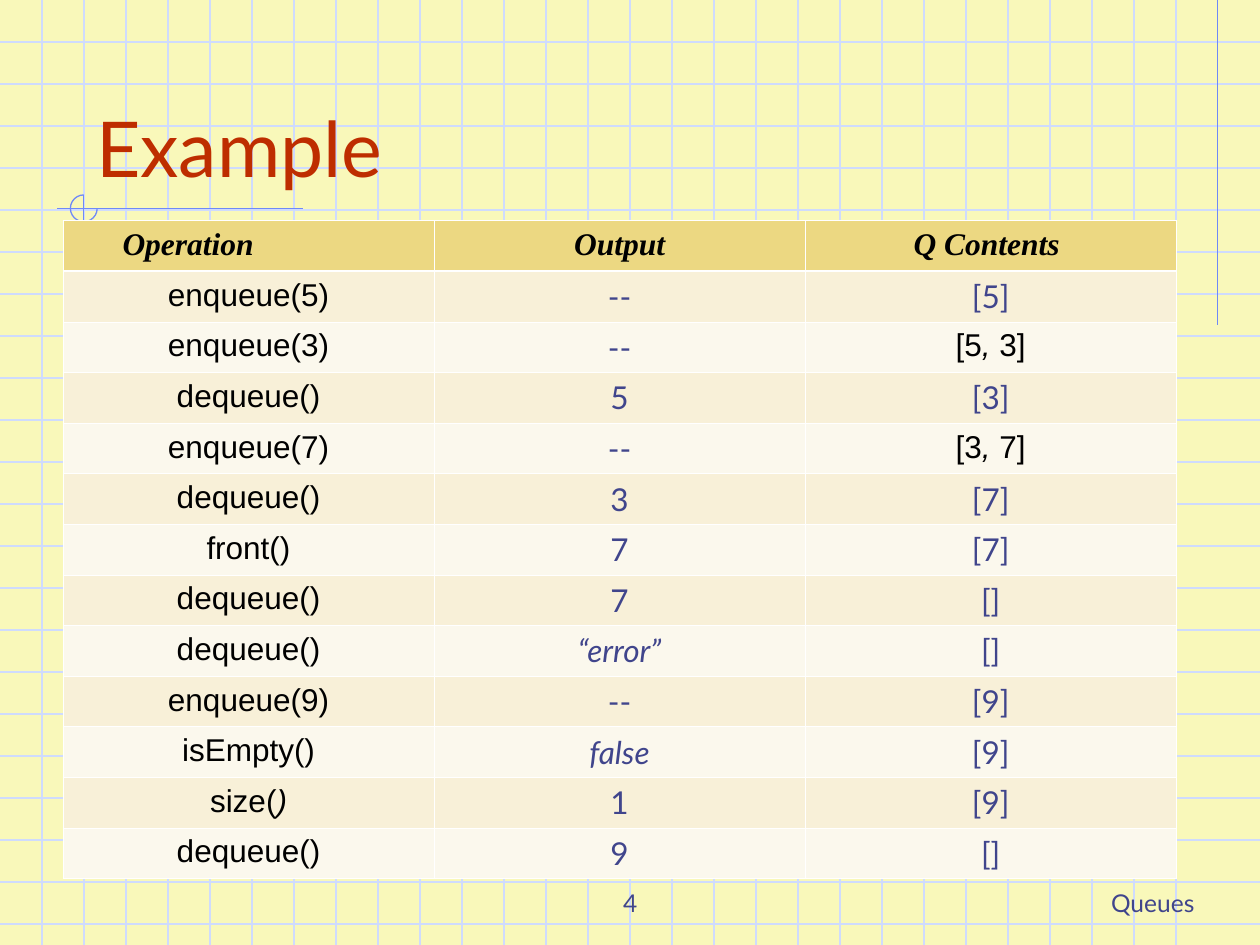
import pptx
import pptx.dml.color
import pptx.enum.shapes
import pptx.enum.text
import pptx.oxml.ns
import pptx.util
from lxml import etree

Cm = pptx.util.Cm
Pt = pptx.util.Pt
ALIGN = pptx.enum.text.PP_ALIGN
ANCHOR = pptx.enum.text.MSO_ANCHOR
qn = pptx.oxml.ns.qn

COLORS = {
    "paper": "F9F8BA",
    "grid": "CFDBFD",
    "accent": "6F89F7",
    "title": "BE2D00",
    "navy": "40458C",
    "black": "000000",
    "white": "FFFFFF",
    "header": "ECD882",
    "odd": "F8F0D8",
    "even": "FBF8ED",
}
SLIDE_W, SLIDE_H = 25.4, 19.05
GRID_STEP = 2.54 / 3
COLUMN_W, ROW_H = 7.48, 1.02
THIN, THICK = 0.45, 1.47

HEADINGS = ["Operation\t", "Output", "Q Contents "]
# Text between bars is italic.
STEPS = [
    ("enqueue(5)", "--", "[5]"),
    ("enqueue(3)", "--", "[5|, |3]"),
    ("dequeue()", "5", "[3]"),
    ("enqueue(7)", "--", "[3|, |7]"),
    ("dequeue()", "3", "[7]"),
    ("front()", "7", "[7]"),
    ("dequeue()", "7", "[]"),
    ("dequeue()", "|“error”|", "[]"),
    ("enqueue(9)", "--", "[9]"),
    ("isEmpty()", "|false|", "[9]"),
    ("size(|)|", "1", "[9]"),
    ("dequeue()", "9", "[]"),
]


def rgb(name):
    return pptx.dml.color.RGBColor.from_string(COLORS[name])


def add_run(paragraph, text, font, size, color, bold=False, italic=False):
    run = paragraph.add_run()
    run.text = text
    run.font.name = font
    run.font.size = Pt(size)
    run.font.bold = bold
    run.font.italic = italic
    run.font.color.rgb = rgb(color)


def add_line(slide, x1, y1, x2, y2, color):
    line = slide.shapes.add_connector(
        pptx.enum.shapes.MSO_CONNECTOR.STRAIGHT, Cm(x1), Cm(y1), Cm(x2), Cm(y2))
    line.line.color.rgb = rgb(color)
    line.line.width = Pt(0.75)
    etree.SubElement(line._element.spPr, qn("a:effectLst"))


def add_label(slide, text, left, top, width, height, size, color, align):
    label = slide.shapes.add_textbox(Cm(left), Cm(top), Cm(width), Cm(height))
    frame = label.text_frame
    frame.word_wrap = True
    frame.vertical_anchor = ANCHOR.BOTTOM
    frame.paragraphs[0].alignment = align
    add_run(frame.paragraphs[0], text, "Lato", size, color)


def add_graph_paper(slide):
    for row in range(1, int(SLIDE_H / GRID_STEP) + 1):
        add_line(slide, 0, row * GRID_STEP, SLIDE_W, row * GRID_STEP, "grid")
    for column in range(1, int(SLIDE_W / GRID_STEP)):
        add_line(slide, column * GRID_STEP, 0, column * GRID_STEP, SLIDE_H, "grid")


def add_title_ornament(slide):
    add_line(slide, 24.55, 0, 24.55, 6.55, "accent")
    add_line(slide, 6.1, 4.21, 1.14, 4.21, "accent")
    add_line(slide, 1.69, 3.93, 1.69, 10.39, "accent")
    ring = slide.shapes.add_shape(
        pptx.enum.shapes.MSO_SHAPE.ARC, Cm(1.42), Cm(3.93), Cm(0.54), Cm(0.54))
    ring.adjustments[0] = 0
    ring.adjustments[1] = 162  # three quarters of a turn, ending at the top
    ring.shadow.inherit = False
    ring.fill.background()
    ring.line.color.rgb = rgb("accent")
    ring.line.width = Pt(0.75)


def add_tab_stops(paragraph):
    """Put a left tab stop at every inch."""
    stops = etree.SubElement(paragraph._p.get_or_add_pPr(), qn("a:tabLst"))
    for inch in range(8):
        etree.SubElement(stops, qn("a:tab"), pos=str(Cm(2.54 * inch)), algn="l")


def style_cell(cell, fill, top, bottom):
    """Draw white borders, then fill the cell."""
    properties = cell._tc.get_or_add_tcPr()
    sides = {"lnL": THIN, "lnR": THIN, "lnT": top, "lnB": bottom}
    for side, width in sides.items():
        border = etree.SubElement(properties, qn(f"a:{side}"), w=str(Pt(width)))
        paint = etree.SubElement(border, qn("a:solidFill"))
        etree.SubElement(paint, qn("a:srgbClr"), val=COLORS["white"])
    cell.fill.solid()
    cell.fill.fore_color.rgb = rgb(fill)


def fill_heading(cell, heading):
    style_cell(cell, "header", THIN, THICK)
    paragraph = cell.text_frame.paragraphs[0]
    add_tab_stops(paragraph)
    paragraph.alignment = ALIGN.CENTER
    add_run(paragraph, heading, "Times New Roman", 18, "black", bold=True, italic=True)


def fill_step(cell, text, row, column):
    style_cell(cell, "odd" if row % 2 else "even", THICK if row == 1 else THIN, THIN)
    paragraph = cell.text_frame.paragraphs[0]
    paragraph.alignment = ALIGN.CENTER
    plain = column == 0 or "," in text
    font, color = ("Arial", "black") if plain else ("Lato", "navy")
    for index, part in enumerate(text.split("|")):
        if part:
            add_run(paragraph, part, font, 18, color, italic=index % 2 == 1)


def add_queue_table(slide):
    row_count, column_count = len(STEPS) + 1, len(HEADINGS)
    table = slide.shapes.add_table(
        row_count, column_count, Cm(1.27), Cm(4.45),
        Cm(COLUMN_W * column_count), Cm(ROW_H * row_count)).table
    table.horz_banding = False
    for column, heading in enumerate(HEADINGS):
        fill_heading(table.cell(0, column), heading)
    for row, step in enumerate(STEPS, start=1):
        for column, text in enumerate(step):
            fill_step(table.cell(row, column), text, row, column)


def main():
    deck = pptx.Presentation()
    deck.slide_width, deck.slide_height = Cm(SLIDE_W), Cm(SLIDE_H)
    slide = deck.slides.add_slide(deck.slide_layouts[6])
    slide.background.fill.solid()
    slide.background.fill.fore_color.rgb = rgb("paper")

    add_graph_paper(slide)
    add_title_ornament(slide)
    add_label(slide, "Queues", 19.05, 17.35, 5.28, 1.27, 14, "navy", ALIGN.RIGHT)
    add_label(slide, "4", 8.68, 17.35, 8.05, 1.27, 14, "navy", ALIGN.CENTER)
    add_label(slide, "Example", 1.69, 0.84, 21.59, 3.18, 44, "title", ALIGN.LEFT)
    add_queue_table(slide)
    deck.save("out.pptx")


if __name__ == "__main__":
    main()
